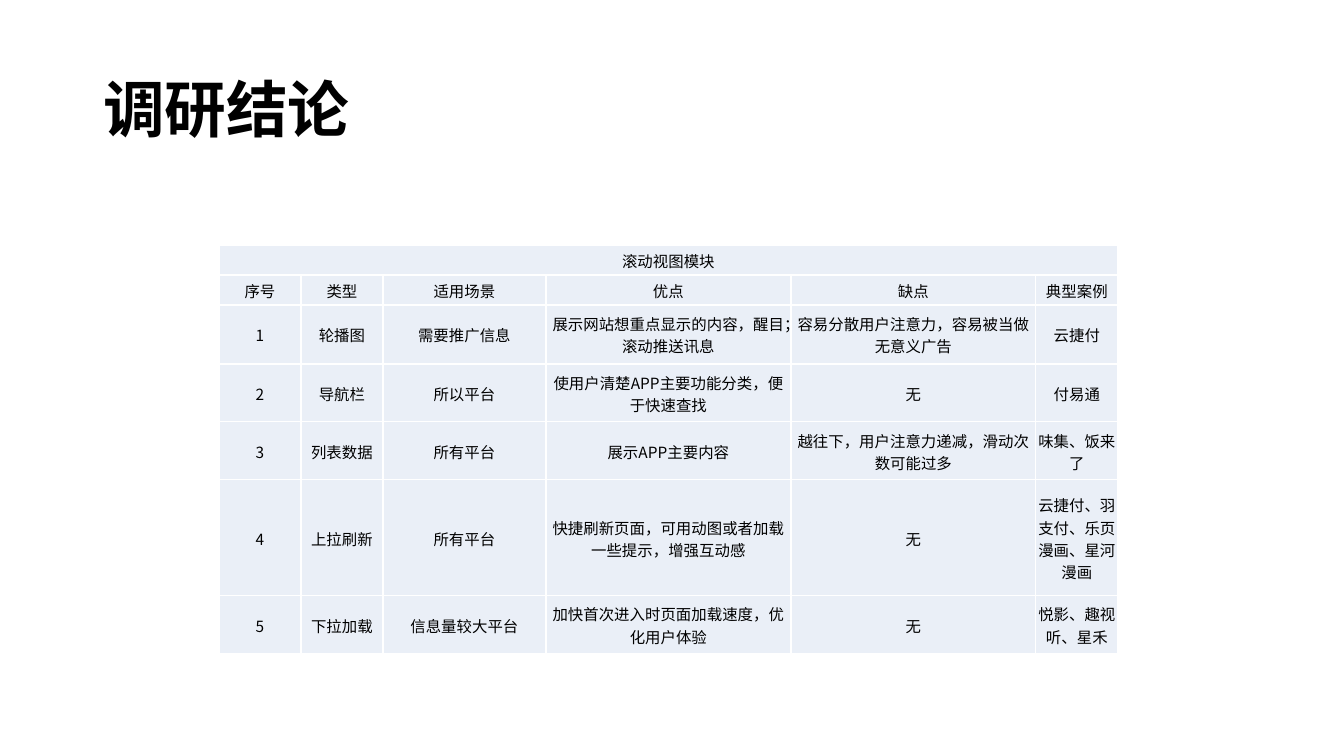
from lxml import etree
from pptx import Presentation, util as u
from pptx.dml.color import RGBColor
from pptx.enum import text
from pptx.oxml import ns

PX = 914400 / 100.8
FONT = "Noto Sans CJK SC"
BLACK = RGBColor(0x00, 0x00, 0x00)
WHITE = RGBColor(0xFF, 0xFF, 0xFF)
PALE_BLUE = RGBColor(0xEA, 0xEF, 0xF7)

TITLE_BOX = (93, 40, 1159, 146)
TABLE_BOX = (219, 245, 899, 409)
COL_WIDTHS = [82, 82, 163, 245, 245, 82]
ROW_HEIGHTS = [30, 30, 59, 58, 58, 116, 58]
CAPTION = "滚动视图模块"
ROWS = [
    ["序号", "类型", "适用场景", "优点", "缺点", "典型案例"],
    ["1", "轮播图", "需要推广信息", "展示网站想重点显示的内容，醒目；滚动推送讯息",
     "容易分散用户注意力，容易被当做无意义广告", "云捷付"],
    ["2", "导航栏", "所以平台", "使用户清楚APP主要功能分类，便于快速查找", "无", "付易通"],
    ["3", "列表数据", "所有平台", "展示APP主要内容",
     "越往下，用户注意力递减，滑动次数可能过多", "味集、饭来了"],
    ["4", "上拉刷新", "所有平台", "快捷刷新页面，可用动图或者加载一些提示，增强互动感",
     "无", "云捷付、羽支付、乐页漫画、星河漫画"],
    ["5", "下拉加载", "信息量较大平台", "加快首次进入时页面加载速度，优化用户体验",
     "无", "悦影、趣视听、星禾"],
]


def px(n):
    return u.Emu(round(n * PX))


def set_attrs(obj, values):
    for name, value in values.items():
        setattr(obj, name, value)


def write(tf, words, align, size, bold=False):
    p = tf.paragraphs[0]
    p.alignment = align
    r = p.add_run()
    r.text = words
    set_attrs(r.font, {"name": FONT, "size": u.Pt(size), "bold": bold})
    r.font.color.rgb = BLACK
    # East Asian typeface and language
    rPr = r.font._element
    rPr.set("lang", "zh-CN")
    etree.SubElement(rPr, ns.qn("a:ea"), typeface=FONT)
    return p


def add_borders(cell, color, width):
    tcPr = cell._tc.get_or_add_tcPr()
    for side in ("lnL", "lnR", "lnT", "lnB"):
        ln = etree.SubElement(tcPr, ns.qn(f"a:{side}"), w=str(u.Pt(width)))
        fill = etree.SubElement(ln, ns.qn("a:solidFill"))
        etree.SubElement(fill, ns.qn("a:srgbClr"), val=str(color))


def add_title(s, box, words):
    sp = s.shapes.title
    set_attrs(sp, dict(zip(("left", "top", "width", "height"), map(px, box))))
    tf = sp.text_frame
    set_attrs(tf, {"word_wrap": True, "auto_size": text.MSO_AUTO_SIZE.NONE,
                   "vertical_anchor": text.MSO_ANCHOR.MIDDLE})
    p = write(tf, words, text.PP_ALIGN.LEFT, 44, bold=True)
    p.line_spacing = 0.9


def add_findings(s, box):
    table = s.shapes.add_table(len(ROW_HEIGHTS), len(COL_WIDTHS), *map(px, box)).table
    set_attrs(table, {"first_row": False, "horz_banding": False})
    for col, width in zip(table.columns, COL_WIDTHS):
        col.width = px(width)
    for row, height in zip(table.rows, ROW_HEIGHTS):
        row.height = px(height)

    # Cell format
    for cell in table.iter_cells():
        add_borders(cell, WHITE, 1)
        cell.fill.solid()
        cell.fill.fore_color.rgb = PALE_BLUE
        set_attrs(cell, {"margin_left": px(1), "margin_right": px(1),
                         "margin_top": px(1), "margin_bottom": 0,
                         "vertical_anchor": text.MSO_ANCHOR.MIDDLE})

    # Caption across all columns, then the rows
    table.cell(0, 0).merge(table.cell(0, len(COL_WIDTHS) - 1))
    for i, row in enumerate([[CAPTION], *ROWS]):
        for j, words in enumerate(row):
            write(table.cell(i, j).text_frame, words, text.PP_ALIGN.CENTER, 11)


def main():
    prs = Presentation()
    set_attrs(prs, {"slide_width": px(1344), "slide_height": px(756)})
    s = prs.slides.add_slide(prs.slide_layouts[5])
    add_title(s, TITLE_BOX, "调研结论")
    add_findings(s, TABLE_BOX)
    prs.save("out.pptx")


if __name__ == "__main__":
    main()
